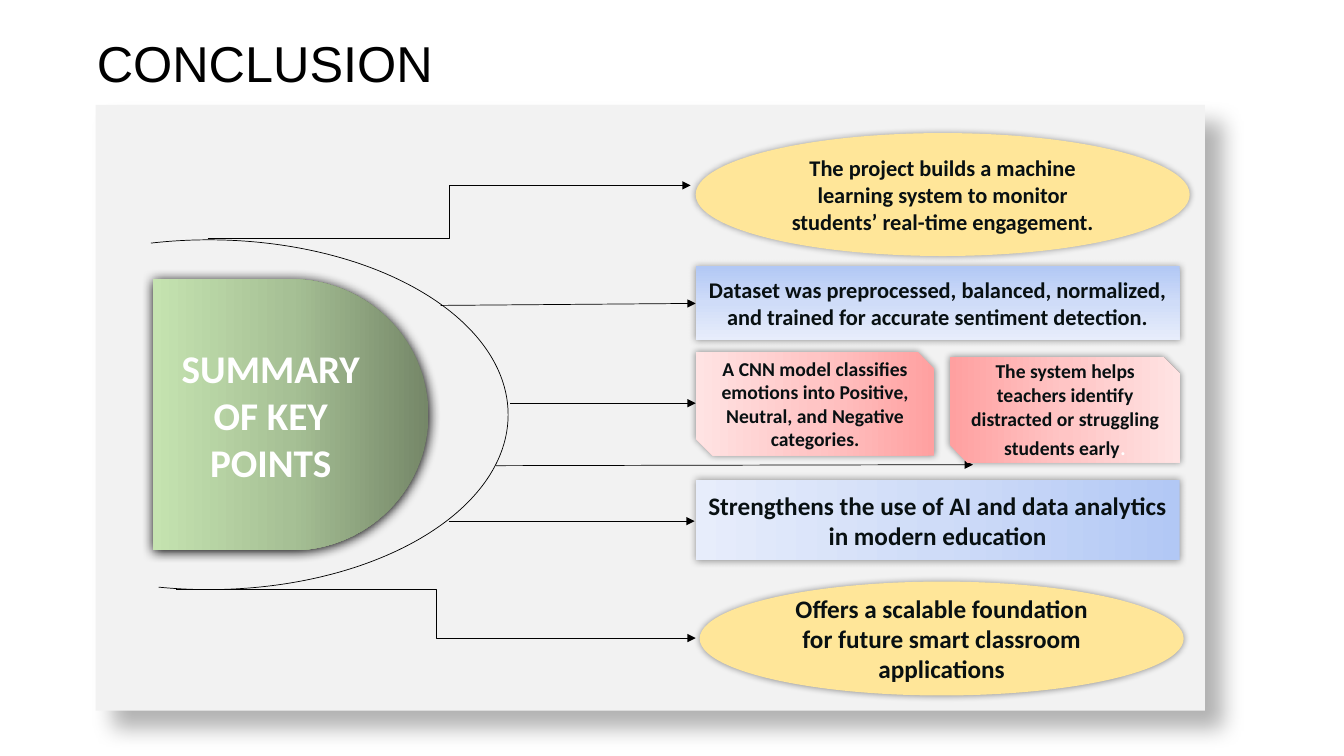
import pptx
import pptx.util
import pptx.dml.color
import pptx.enum.shapes
import pptx.enum.text
import pptx.oxml
import pptx.oxml.ns

Inches, Pt = pptx.util.Inches, pptx.util.Pt
RGB = pptx.dml.color.RGBColor.from_string
SHAPE = pptx.enum.shapes.MSO_SHAPE
CONN = pptx.enum.shapes.MSO_CONNECTOR
PP_ALIGN = pptx.enum.text.PP_ALIGN
MIDDLE = pptx.enum.text.MSO_ANCHOR.MIDDLE
qn = pptx.oxml.ns.qn
NS = pptx.oxml.ns.nsdecls("a")

COLORS = {"black": "000000", "white": "FFFFFF", "text": "081012",
          "panel": "F2F2F2", "yellow": "FFE699"}
GRADIENTS = {"green": ["758768", "A6C095", "C5E3B0"],
             "blue": ["B2C8F5", "CFDCF8", "E7EDFB"],
             "pink": ["FFA0A0", "FFC5C5", "FFE3E3"]}
SOFT = (40, 5, 0, 0)  # shadow: opacity %, blur pt, distance pt, direction


def add_node(kind, box, fill, angle=0, shadow=SOFT, text="", size=16, color="text"):
    sp = slide.shapes.add_shape(kind, *[Inches(v) for v in box])
    sp.line.fill.background()
    if fill in GRADIENTS:
        sp.fill.gradient()
        sp.fill.gradient_angle = -angle % 360
        stops = "".join(f'<a:gs pos="{i * 50000}"><a:srgbClr val="{c}"/></a:gs>'
                        for i, c in enumerate(GRADIENTS[fill]))
        grad = sp._element.spPr.find(qn("a:gradFill"))
        grad.replace(grad.find(qn("a:gsLst")),
                     pptx.oxml.parse_xml(f"<a:gsLst {NS}>{stops}</a:gsLst>"))
    else:
        sp.fill.solid()
        sp.fill.fore_color.rgb = RGB(COLORS[fill])
    sp.shadow.inherit = False
    alpha, blur, dist, direction = shadow
    sp._element.spPr.find(qn("a:effectLst")).append(pptx.oxml.parse_xml(
        f'<a:outerShdw {NS} blurRad="{Pt(blur)}" dist="{Pt(dist)}" '
        f'dir="{direction * 60000}" algn="ctr" rotWithShape="0">'
        f'<a:srgbClr val="{COLORS["black"]}"><a:alpha val="{alpha * 1000}"/>'
        f'</a:srgbClr></a:outerShdw>'))
    tf = sp.text_frame
    tf.word_wrap = True
    tf.vertical_anchor = MIDDLE
    tf.text = text
    for p in tf.paragraphs:
        p.alignment = PP_ALIGN.CENTER
        for r in p.runs:
            r.font.name, r.font.size, r.font.bold = "Calibri", Pt(size), True
            r.font.color.rgb = RGB(COLORS[color])
    return sp


prs = pptx.Presentation()
prs.slide_width, prs.slide_height = Inches(13.33), Inches(7.5)
slide = prs.slides.add_slide(prs.slide_layouts[5])

# Title
title = slide.shapes.title
title.left, title.top, title.width, title.height = [
    Inches(v) for v in (0.86, 0.05, 3.61, 1.21)]
tf = title.text_frame
tf.text = "CONCLUSION"
tf.word_wrap = True
tf.vertical_anchor = MIDDLE
p = tf.paragraphs[0]
p.alignment, p.line_spacing = PP_ALIGN.LEFT, 0.9
r = p.runs[0]
r.font.name, r.font.size = "Arial", Pt(36)
r.font.color.rgb = RGB(COLORS["black"])

# Panel and summary hub
add_node(SHAPE.RECTANGLE, (0.95, 1.04, 11, 6.01), "panel", shadow=(30, 15, 18, 45))
add_node(SHAPE.FLOWCHART_DELAY, (1.52, 2.77, 2.73, 2.69), "green", 180,
         (100, 8.5, 1, 90), "SUMMARY\nOF KEY\nPOINTS", 28, "white")

# Arc around the hub
arc = slide.shapes.add_shape(SHAPE.ARC, Inches(-0.9), Inches(2.38),
                             Inches(5.94), Inches(3.47))
arc.adjustments[0], arc.adjustments[1] = 150.83, 63.71
arc.fill.background()
arc.line.color.rgb = RGB(COLORS["black"])
arc.line.width = Pt(0.5)
arc.shadow.inherit = False

# Arrows from the arc to the key points
arrows = [
    (CONN.ELBOW, 2.06, 2.37, 6.85, 1.84),
    (CONN.STRAIGHT, 4.37, 3.03, 6.9, 3.01),
    (CONN.STRAIGHT, 5.06, 4, 6.9, 4),
    (CONN.STRAIGHT, 4.92, 4.62, 9.65, 4.61),
    (CONN.STRAIGHT, 4.45, 5.17, 6.89, 5.17),
    (CONN.ELBOW, 1.75, 5.85, 6.9, 6.33),
]
for kind, *ends in arrows:
    cxn = slide.shapes.add_connector(kind, *[Inches(v) for v in ends])
    cxn.line.color.rgb = RGB(COLORS["black"])
    cxn.line.width = Pt(0.5)
    cxn.line._get_or_add_ln().append(
        pptx.oxml.parse_xml(f'<a:tailEnd {NS} type="triangle"/>'))
    cxn._element.spPr.append(pptx.oxml.parse_xml(f"<a:effectLst {NS}/>"))

# Key points
points = [
    (SHAPE.OVAL, (6.9, 1.32, 4.9, 1.22), "yellow", 0, 16,
     "The project builds a machine learning system to monitor students’ real-time engagement."),
    (SHAPE.RECTANGLE, (6.9, 2.64, 4.8, 0.73), "blue", 90, 16,
     "Dataset was preprocessed, balanced, normalized, and trained for accurate sentiment detection."),
    (SHAPE.OVAL, (6.94, 5.77, 4.8, 1.13), "yellow", 0, 18,
     "Offers a scalable foundation for future smart classroom applications"),
    (SHAPE.RECTANGLE, (6.9, 4.76, 4.8, 0.8), "blue", 180, 18,
     "Strengthens the use of AI and data analytics in modern education"),
    (SHAPE.SNIP_2_DIAG_RECTANGLE, (6.9, 3.49, 2.37, 1.03), "pink", 180, 14,
     "A CNN model classifies emotions into Positive, Neutral, and Negative categories."),
    (SHAPE.SNIP_2_DIAG_RECTANGLE, (9.42, 3.54, 2.29, 1.05), "pink", 0, 14,
     "The system helps teachers identify distracted or struggling students early"),
]
for kind, box, fill, angle, size, text in points:
    sp = add_node(kind, box, fill, angle, text=text, size=size)

# White full stop on the last point
r = sp.text_frame.paragraphs[0].add_run()
r.text = "."
r.font.name, r.font.size, r.font.bold = "Calibri", Pt(18), False
r.font.color.rgb = RGB(COLORS["white"])

prs.save("out.pptx")
